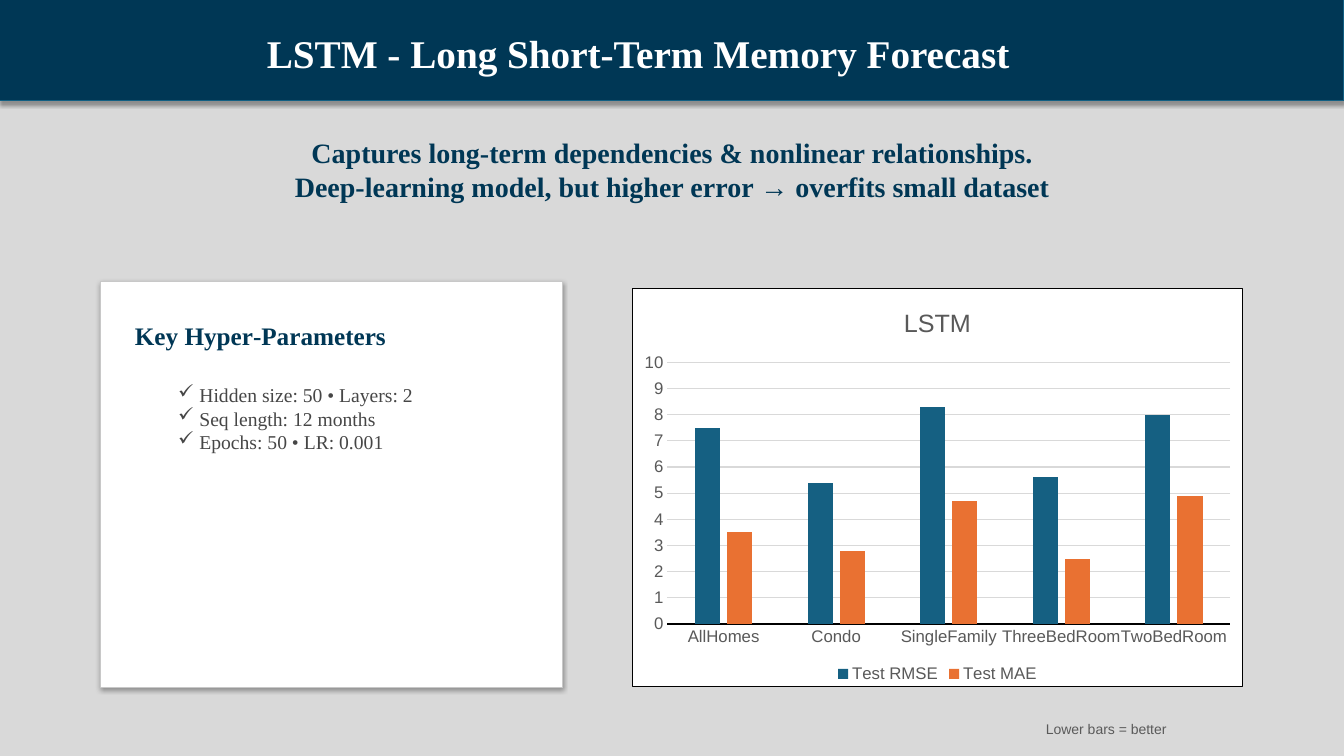
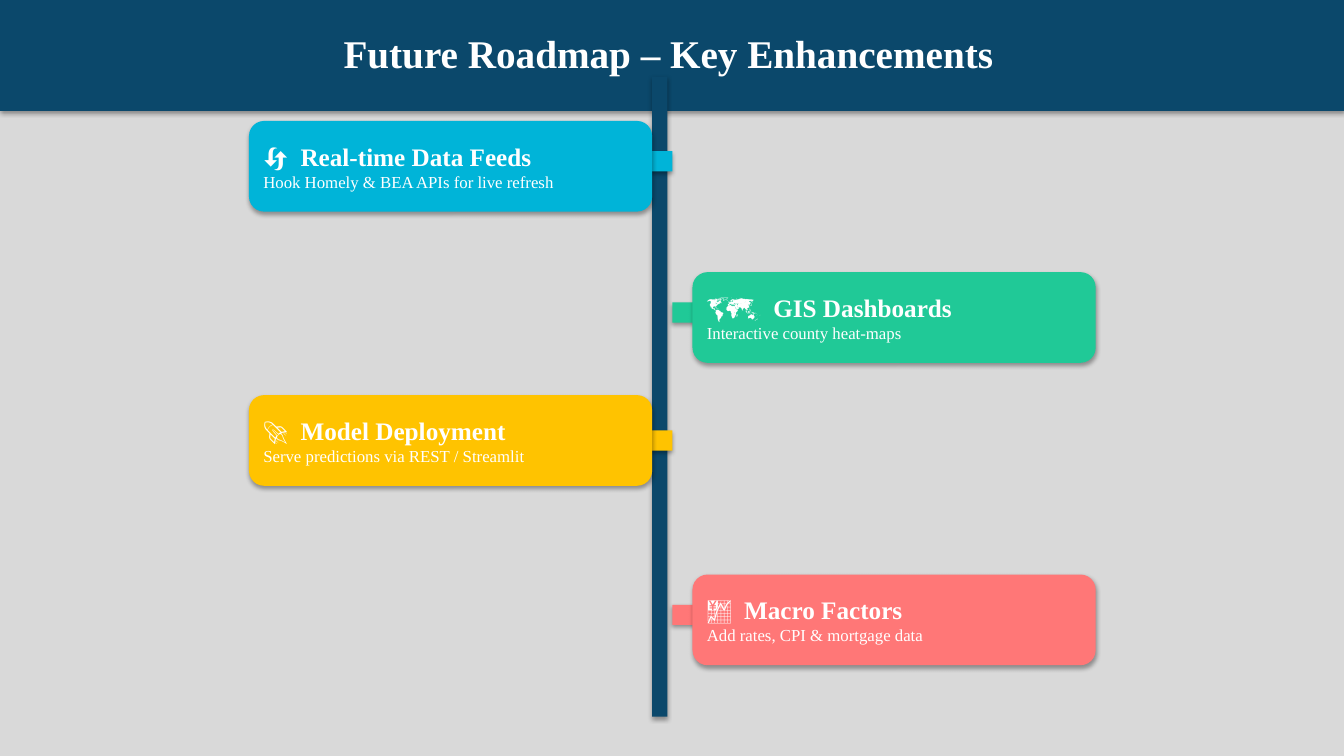
from lxml import etree
from pptx import Presentation
from pptx.chart.data import CategoryChartData
from pptx.dml.color import RGBColor
from pptx.enum.chart import XL_CHART_TYPE, XL_LEGEND_POSITION, XL_TICK_MARK
from pptx.enum.shapes import MSO_SHAPE
from pptx.enum.text import MSO_ANCHOR, MSO_AUTO_SIZE, PP_ALIGN
from pptx.oxml import parse_xml
from pptx.oxml.ns import nsdecls, qn
from pptx.util import Inches, Pt

RECT, ROUND = MSO_SHAPE.RECTANGLE, MSO_SHAPE.ROUNDED_RECTANGLE
TO_LEFT, TO_RIGHT = MSO_SHAPE.LEFT_ARROW, MSO_SHAPE.RIGHT_ARROW
LEFT, MID, RIGHT = PP_ALIGN.LEFT, PP_ALIGN.CENTER, PP_ALIGN.RIGHT
MIDDLE, GROW = MSO_ANCHOR.MIDDLE, MSO_AUTO_SIZE.SHAPE_TO_FIT_TEXT
COLUMN, BOTTOM = XL_CHART_TYPE.COLUMN_CLUSTERED, XL_LEGEND_POSITION.BOTTOM
NO_TICK = XL_TICK_MARK.NONE

NAVY = RGBColor(0x00, 0x37, 0x55)
OCEAN = RGBColor(0x0B, 0x48, 0x6B)
EDGE = RGBColor(0x12, 0x5F, 0x82)
PALE = RGBColor(0xD9, 0xD9, 0xD9)
RIM = RGBColor(0xC8, 0xC8, 0xC8)
WHITE = RGBColor(0xFF, 0xFF, 0xFF)
BLACK = RGBColor(0x00, 0x00, 0x00)
INK = RGBColor(0x46, 0x46, 0x46)
GREY = RGBColor(0x59, 0x59, 0x59)
ASH = RGBColor(0x5A, 0x5A, 0x5A)
BLUE = RGBColor(0x15, 0x60, 0x82)
ORANGE = RGBColor(0xE9, 0x71, 0x32)
CYAN = RGBColor(0x00, 0xB4, 0xD8)
GREEN = RGBColor(0x20, 0xC9, 0x97)
GOLD = RGBColor(0xFF, 0xC3, 0x00)
CORAL = RGBColor(0xFF, 0x77, 0x77)

CELL = Inches(0.1)
COLS, ROWS = 133.33, 75
SERIF, SANS = "Times New Roman", "Arial"


def look(size, color, bold=False, name=SERIF):
    """Return the format values of a text."""
    return {"size": Pt(size), "bold": bold, "name": name, "color": color}


TITLE = look(28, WHITE, True)
LEAD = look(20, NAVY, True)
HEAD = look(18, NAVY, True)
BODY = look(14, INK)
NOTE = look(10, ASH, name=SANS)
NAME = look(18, WHITE, True)
TEXT = look(12, WHITE)
AXIS = look(12, GREY, name=SANS)
CAPTION = look(18, GREY, name=SANS)


def grid(*cells):
    """Turn grid cells into lengths."""
    return [int(cell * CELL) for cell in cells]


def style(font, form):
    """Set the format values on a font."""
    for key, value in form.items():
        if key == "color":
            font.color.rgb = value
        else:
            setattr(font, key, value)


def write(frame, lines, align=LEFT):
    """Fill a frame with pairs of text and format."""
    for at, (text, form) in enumerate(lines):
        para = frame.paragraphs[0] if at == 0 else frame.add_paragraph()
        para.alignment = align
        run = para.add_run()
        run.text = text
        style(run.font, form)


def label(slide, box, lines, align=LEFT, wrap=True):
    """Place a text box that grows with its text."""
    frame = slide.shapes.add_textbox(*grid(*box)).text_frame
    frame.word_wrap = wrap
    frame.auto_size = GROW
    write(frame, lines, align)
    return frame


def block(slide, kind, box, fill, line=None):
    """Place a filled shape with the shadow of the theme."""
    shape = slide.shapes.add_shape(kind, *grid(*box))
    shape.fill.solid()
    shape.fill.fore_color.rgb = fill
    if line is None:
        shape.line.fill.background()
    else:
        shape.line.color.rgb = line
        shape.line.width = Pt(0.75)
    return shape


def page(deck):
    """Add a blank slide on the pale ground."""
    slide = deck.slides.add_slide(deck.slide_layouts[6])
    ground = slide.background.fill
    ground.solid()
    ground.fore_color.rgb = PALE
    return slide


def band(slide, title, left, height, fill, line=None):
    """Place the title band across the slide."""
    block(slide, RECT, (0, 0, COLS, height), fill, line)
    label(slide, (left, 2.45, 93, 5.7), [(title, TITLE)], MID)


def panel(slide, box, head, items):
    """Place a white panel with a heading and a ticked list."""
    x, y, w, h = box
    block(slide, RECT, box, WHITE, RIM)
    label(slide, (x + 2.4, y + 3.4, 31, 4), [(head, HEAD)])
    frame = label(slide, (x + 6.7, y + 9.6, w - 11.4, 8.1),
                  [(item, BODY) for item in items])
    for para in frame.paragraphs:
        rule = para._p.get_or_add_pPr()
        rule.set("marL", str(Inches(0.21)))
        rule.set("indent", str(-Inches(0.21)))
        etree.SubElement(rule, qn("a:buChar")).set("char", "✓")


def graph(slide, box, title, cats, series):
    """Place the framed column chart."""
    data = CategoryChartData()
    data.categories = cats
    for name, values, _ in series:
        data.add_series(name, values)
    chart = slide.shapes.add_chart(COLUMN, *grid(*box), data).chart
    style(chart.font, AXIS)
    chart.has_title = True
    write(chart.chart_title.text_frame, [(title, CAPTION)], MID)
    chart.chart_title.include_in_layout = False
    chart.has_legend = True
    chart.legend.position = BOTTOM
    chart.legend.include_in_layout = False
    style(chart.legend.font, AXIS)
    plot = chart.plots[0]
    for key, value in {"gap_width": 219, "overlap": -27,
                       "vary_by_categories": False}.items():
        setattr(plot, key, value)
    for bars, (_, _, color) in zip(plot.series, series):
        bars.format.fill.solid()
        bars.format.fill.fore_color.rgb = color
    for axis in (chart.category_axis, chart.value_axis):
        axis.major_tick_mark = axis.minor_tick_mark = NO_TICK
        style(axis.tick_labels.font, AXIS)
    base, scale = chart.category_axis.format.line, chart.value_axis
    for key, value in {"minimum_scale": 0, "maximum_scale": 10,
                       "major_unit": 1}.items():
        setattr(scale, key, value)
    scale.format.line.fill.background()
    for line, color in ((base, BLACK), (scale.major_gridlines.format.line, PALE)):
        line.color.rgb = color
        line.width = Pt(0.75)
    frame = parse_xml(
        f'<c:spPr {nsdecls("c", "a")}>'
        f'<a:solidFill><a:srgbClr val="{WHITE}"/></a:solidFill>'
        f'<a:ln w="{Pt(0.75)}"><a:solidFill><a:srgbClr val="{BLACK}"/>'
        '</a:solidFill></a:ln></c:spPr>')
    chart.element.find(qn("c:chart")).addnext(frame)


def card(slide, box, fill, arrow, drop, icon, tab, name, text):
    """Place a roadmap card over the arrow that ties it to the stem."""
    x, y, w, h = box
    start = x + w - 4 if arrow == TO_LEFT else x - 2
    block(slide, arrow, (start, y + drop, 6, 4), fill)
    frame = block(slide, ROUND, box, fill).text_frame
    frame.word_wrap = True
    frame.vertical_anchor = MIDDLE
    write(frame, [(f"{icon}\t{name}", NAME), (text, TEXT)])
    tabs = etree.SubElement(frame.paragraphs[0]._p.get_or_add_pPr(), qn("a:tabLst"))
    stop = etree.SubElement(tabs, qn("a:tab"))
    stop.set("pos", str(Inches(tab)))
    stop.set("algn", "l")


def forecast(deck):
    """Build the slide on the forecast model."""
    slide = page(deck)
    band(slide, "LSTM - Long Short-Term Memory Forecast", 16.8, 10, NAVY, EDGE)
    label(slide, (27.9, 13, 77.6, 7.7), [
        ("Captures long-term dependencies & nonlinear relationships.", LEAD),
        ("Deep‑learning model, but higher error → overfits small dataset", LEAD),
    ], MID, False)
    panel(slide, (10, 27.9, 45.8, 40.3), "Key Hyper‑Parameters", [
        "Hidden size: 50 • Layers: 2",
        "Seq length: 12 months",
        "Epochs: 50 • LR: 0.001",
    ])
    label(slide, (102.6, 71, 14.1, 2.7), [("Lower bars = better", NOTE)], RIGHT, False)
    graph(slide, (62.7, 28.6, 60.6, 39.6), "LSTM",
          ["AllHomes", "Condo", "SingleFamily", "ThreeBedRoom", "TwoBedRoom"],
          [("Test RMSE", (7.5, 5.4, 8.3, 5.6, 8), BLUE),
           ("Test MAE", (3.5, 2.8, 4.7, 2.5, 4.9), ORANGE)])


def roadmap(deck):
    """Build the slide with the roadmap."""
    slide = page(deck)
    band(slide, "Future Roadmap – Key Enhancements", 19.8, 11, OCEAN)
    block(slide, RECT, (64.7, 7.6, 1.5, 63.5), OCEAN)
    sides = ((24.7, TO_LEFT), (68.7, TO_RIGHT))
    steps = [
        (12, CYAN, 2, "🔄", 0.37, "Real‑time Data Feeds",
         "Hook Homely & BEA APIs for live refresh"),
        (27, GREEN, 2, "🗺️", 0.66, "GIS Dashboards", "Interactive county heat‑maps"),
        (39.2, GOLD, 2.5, "🚀", 0.37, "Model Deployment",
         "Serve predictions via REST / Streamlit"),
        (57, CORAL, 2, "💹", 0.37, "Macro Factors", "Add rates, CPI & mortgage data"),
    ]
    for at, (top, fill, *rest) in enumerate(steps):
        left, arrow = sides[at % 2]
        card(slide, (left, top, 40, 9), fill, arrow, *rest)


def main():
    """Build and save the deck."""
    deck = Presentation()
    deck.slide_width, deck.slide_height = grid(COLS, ROWS)
    forecast(deck)
    roadmap(deck)
    deck.save("out.pptx")


if __name__ == "__main__":
    main()
